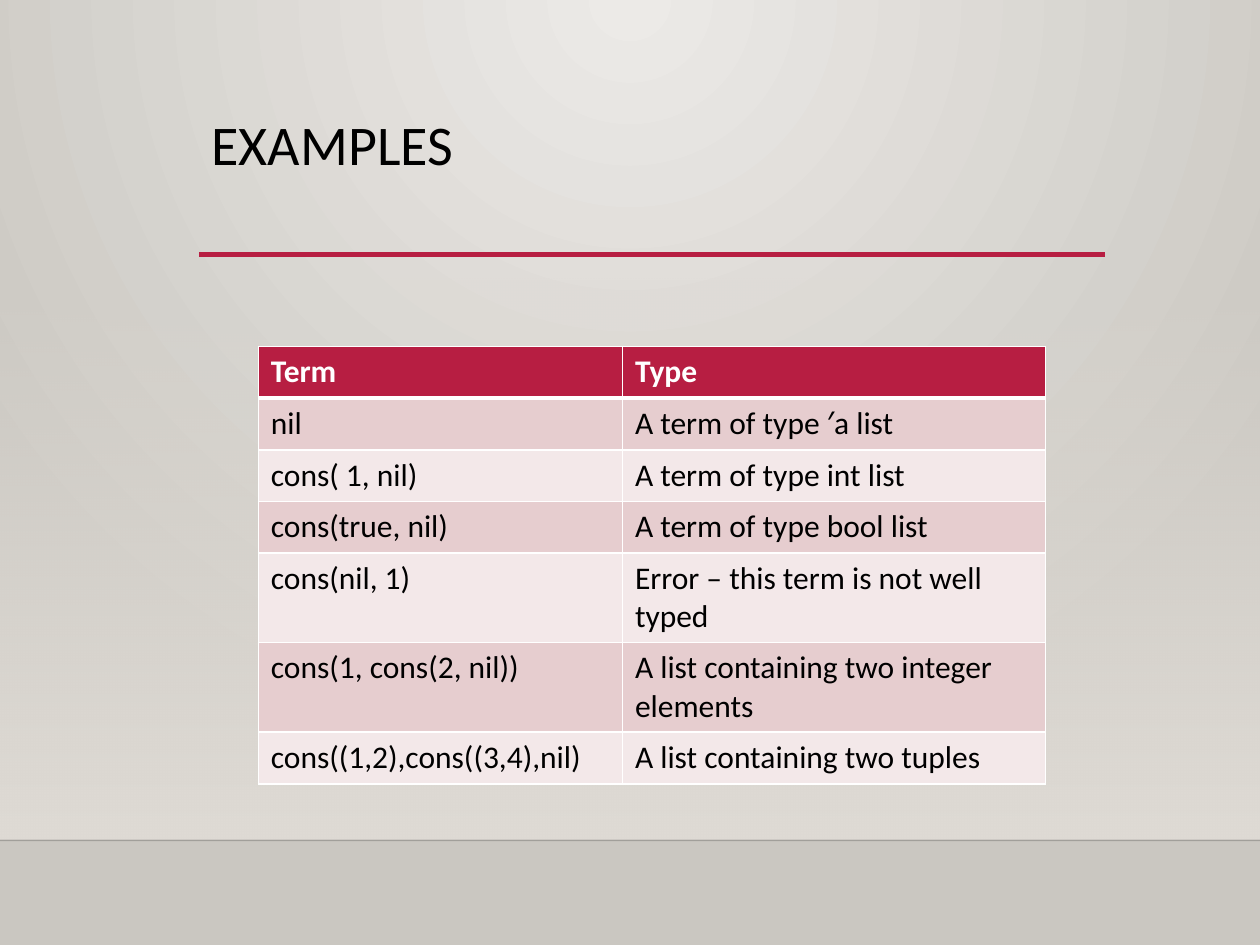
from dataclasses import dataclass

from lxml import etree
from pptx import Presentation
from pptx import util as u
from pptx.dml.color import RGBColor
from pptx.enum import shapes, text
from pptx.oxml.ns import qn


@dataclass(frozen=True)
class Theme:
    font: str = "Calibri"
    title_size: int = 32
    body_size: int = 18
    ink: str = "000000"
    white: str = "FFFFFF"
    accent: str = "B71E42"
    bands: tuple = ("E6CDCF", "F3E8E9")
    glow: str = "ECEAE7"
    edge: str = "CAC7C1"
    wall: str = "DFDBD5"
    floor_line: str = "000001"


def add_node(parent, tag, **attributes):
    return etree.SubElement(parent, qn(tag), attributes)


def add_color(parent, color, alpha=100):
    node = add_node(parent, "a:srgbClr", val=color)
    if alpha < 100:
        add_node(node, "a:alpha", val=str(alpha * 1000))


def fill_gradient(grad, stops):
    """Empty a gradient fill and give it (position, color, alpha) stops."""
    for child in list(grad):
        grad.remove(child)
    stop_list = add_node(grad, "a:gsLst")
    for position, color, alpha in stops:
        add_color(add_node(stop_list, "a:gs", pos=str(position * 1000)), color, alpha)


def write_text(frame, words, *, font, size, color, bold=False, spacing=None):
    para = frame.paragraphs[0]
    if spacing:
        para.line_spacing = spacing
    span = para.add_run()
    span.text = words
    span.font.name = font
    span.font.size = u.Pt(size)
    span.font.bold = bold
    span.font.color.rgb = RGBColor.from_string(color)


class SlideBuilder:
    def __init__(self, page, theme):
        self.page = page
        self.theme = theme

    def background(self):
        fill = self.page.background.fill
        fill.gradient()
        grad = self.page.element.find(".//" + qn("a:gradFill"))
        fill_gradient(grad, [(0, self.theme.glow, 100), (100, self.theme.edge, 100)])
        circle = add_node(grad, "a:path", path="circle")
        add_node(circle, "a:fillToRect", l="43000", t="0", r="43000", b="100000")

    def fading_panel(self, left, top, width, height, color):
        panel = self.page.shapes.add_shape(
            shapes.MSO_SHAPE.RECTANGLE, *map(u.Inches, (left, top, width, height)))
        panel.shadow.inherit = False
        panel.line.fill.background()
        panel.fill.gradient()
        grad = panel.element.spPr.find(qn("a:gradFill"))
        fill_gradient(grad, [(0, color, 0), (100, color, 100)])
        add_node(grad, "a:lin", ang="5400000", scaled="0")

    def rule(self, left, right, y, color, weight, alpha=100):
        line = self.page.shapes.add_connector(
            shapes.MSO_CONNECTOR.STRAIGHT, *map(u.Inches, (left, y, right, y)))
        line.line.width = u.Pt(weight)
        line.line.color.rgb = RGBColor.from_string(color)
        if alpha < 100:
            color_node = line.element.spPr.find(".//" + qn("a:srgbClr"))
            add_node(color_node, "a:alpha", val=str(alpha * 1000))
        add_node(line.element.spPr, "a:effectLst")

    def title(self, words, left, top, width, height):
        box = self.page.shapes.add_textbox(*map(u.Inches, (left, top, width, height)))
        box.text_frame.word_wrap = True
        box.text_frame.vertical_anchor = text.MSO_ANCHOR.TOP
        write_text(box.text_frame, words, font=self.theme.font,
                   size=self.theme.title_size, color=self.theme.ink, spacing=0.9)

    def borders(self, cell, bottom):
        properties = cell._tc.get_or_add_tcPr()
        weights = {"a:lnL": 1, "a:lnR": 1, "a:lnT": 1, "a:lnB": bottom}
        for index, (tag, weight) in enumerate(weights.items()):
            edge = add_node(properties, tag, w=str(u.Pt(weight)))
            add_color(add_node(edge, "a:solidFill"), self.theme.white)
            properties.insert(index, edge)

    def table(self, rows, left, top, widths, row_height):
        frame = self.page.shapes.add_table(
            len(rows), len(widths), u.Inches(left), u.Inches(top),
            u.Inches(sum(widths)), u.Inches(row_height * len(rows)))
        grid = frame.table
        for column, width in zip(grid.columns, widths):
            column.width = u.Inches(width)
        for r, row in enumerate(rows):
            header = r == 0
            fill = self.theme.accent if header else self.theme.bands[(r - 1) % 2]
            for c, words in enumerate(row):
                cell = grid.cell(r, c)
                cell.fill.solid()
                cell.fill.fore_color.rgb = RGBColor.from_string(fill)
                self.borders(cell, bottom=3 if header else 1)
                write_text(cell.text_frame, words, font=self.theme.font,
                           size=self.theme.body_size, bold=header,
                           color=self.theme.white if header else self.theme.ink)


def main():
    deck = Presentation()
    deck.slide_width, deck.slide_height = u.Inches(10), u.Inches(7.5)
    theme = Theme()
    builder = SlideBuilder(deck.slides.add_slide(deck.slide_layouts[6]), theme)

    # Backdrop: wall, floor edge and title rule
    builder.background()
    builder.fading_panel(0, 2.2, 10, 4.46, theme.wall)
    builder.rule(0, 10, 6.67, theme.floor_line, 1, alpha=20)
    builder.rule(1.58, 8.77, 2.02, theme.accent, 2.5)

    # Table of terms and their types
    builder.table([
        ("Term", "Type"),
        ("nil", "A term of type ′a list"),
        ("cons( 1, nil)", "A term of type int list"),
        ("cons(true, nil)", "A term of type bool list"),
        ("cons(nil, 1)", "Error – this term is not well typed"),
        ("cons(1, cons(2, nil))", "A list containing two integer elements"),
        ("cons((1,2),cons((3,4),nil)", "A list containing two tuples"),
    ], 2.05, 2.75, (2.89, 3.36), 0.41)

    # Title
    builder.title("EXAMPLES", 1.58, 0.88, 7.19, 1.15)

    deck.save("out.pptx")


if __name__ == "__main__":
    main()
